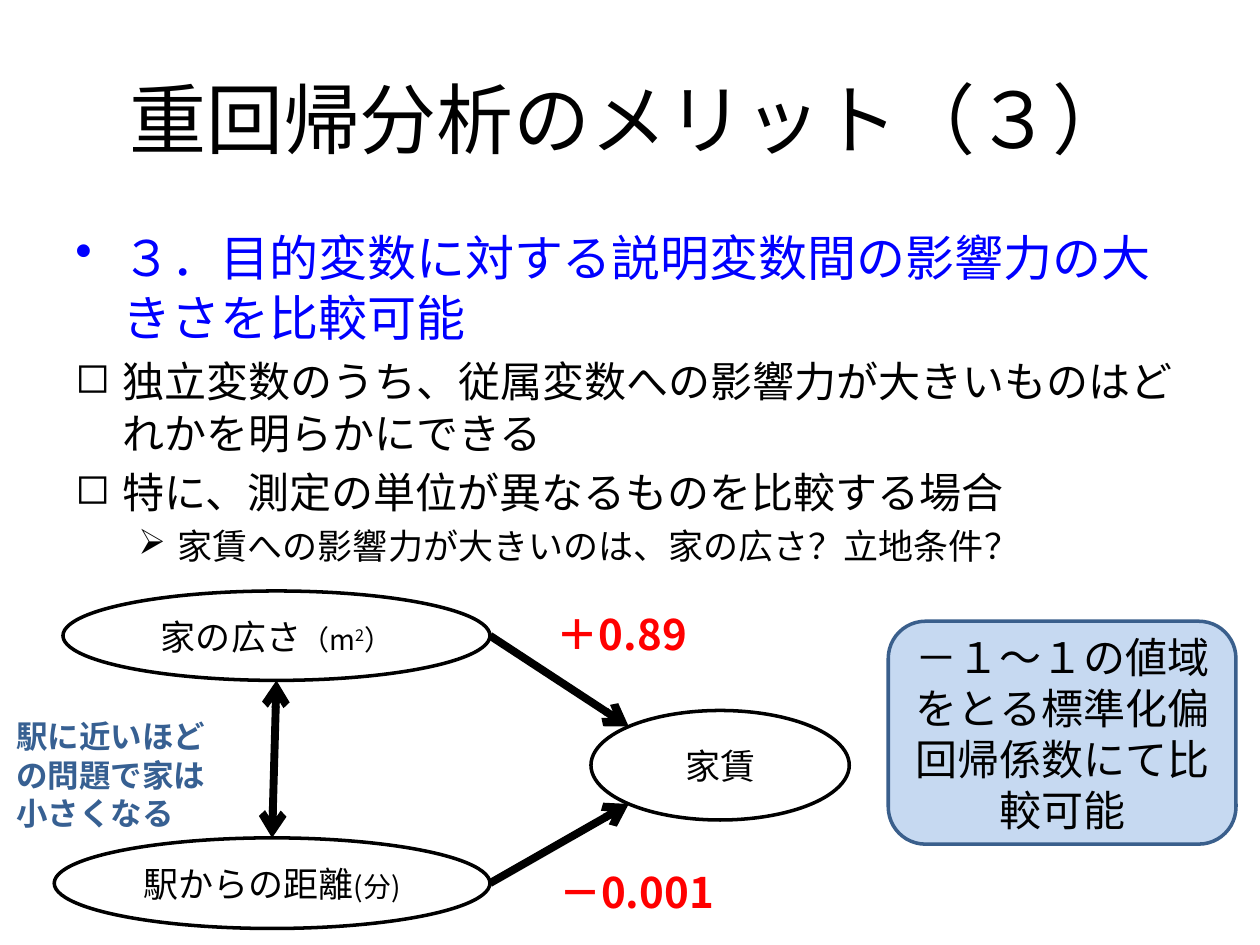
from math import sqrt

from lxml.etree import SubElement
from pptx import Presentation
from pptx.dml.color import RGBColor
from pptx.enum.shapes import MSO_CONNECTOR as Link, MSO_SHAPE as Shape
from pptx.enum.text import MSO_ANCHOR as Anchor, PP_ALIGN as Align
from pptx.oxml.ns import qn
from pptx.util import Pt


class Theme:
    font = "Noto Sans CJK JP"
    black, white, red = "000000", "FFFFFF", "FF0000"
    blue, label, panel, panel_line = "0000FF", "376092", "C6D9F1", "3A5F8C"
    title, lead, body, node, note, unit = 44, 28, 24, 20, 18, 16
    leading = 1.22
    outline, arrow = 2, 4.5


# Content: places are left, top, width, height in points
TITLE = "重回帰分析のメリット（３）"
BULLETS = [  # text, bullet, size, colour, indent, hanging, level
    ("３．目的変数に対する説明変数間の影響力の大きさを比較可能", "•", Theme.lead, Theme.blue, 27, 27, 0),
    ("独立変数のうち、従属変数への影響力が大きいものはどれかを明らかにできる", "◻", Theme.body, Theme.black, 27, 27, 0),
    ("特に、測定の単位が異なるものを比較する場合", "◻", Theme.body, Theme.black, 27, 27, 0),
    ("家賃への影響力が大きいのは、家の広さ？立地条件？", "➢", Theme.node, Theme.black, 58.5, 22.5, 1),
]
LABELS = [  # lines, place, size, colour, left inset, wrap
    (["－0.001"], (312.5, 491, 113, 36), Theme.body, Theme.red, 7.2, False),
    (["＋0.89"], (293, 343.5, 118, 36), Theme.body, Theme.red, 25.2, True),
    (["駅に近いほど", "の問題で家は", "小さくなる"], (2.2, 406, 162.7, 72.7), Theme.note, Theme.label, 7.2, True),
]
CALLOUT = "－１～１の値域をとる標準化偏回帰係数にて比較可能"
NODES = {  # name: place, spans of (text, size, superscript)
    "area": ((36, 337.7, 244, 51.1), [("家の広さ", Theme.node, False), ("（m", Theme.unit, False),
                                      ("2", Theme.unit, True), ("）", Theme.unit, False)]),
    "distance": ((31, 478.8, 249, 51.8), [("駅からの距離", Theme.node, False), ("(分)", Theme.unit, False)]),
    "rent": ((337.7, 406, 147.6, 62.6), [("家賃", Theme.node, False)]),
}
DIAGONAL = sqrt(0.5)
ARROWS = [  # from node, direction, to node, direction, arrowheads
    ("distance", (0, -1), "area", (0, 1), ("headEnd", "tailEnd")),
    ("area", (1, 0), "rent", (-DIAGONAL, -DIAGONAL), ("tailEnd",)),
    ("distance", (1, 0), "rent", (-DIAGONAL, DIAGONAL), ("tailEnd",)),
]


def colour(code):
    return RGBColor.from_string(code)


def style(font, size, code, bold=False):
    font.name, font.size, font.bold = Theme.font, Pt(size), bold
    font.color.rgb = colour(code)


def set_paragraph(para, size, code, align=Align.LEFT, bold=False):
    """Apply one style and an even line pitch to a paragraph and its runs."""
    style(para.font, size, code, bold)
    para.alignment = align
    para.line_spacing = Pt(round(size * Theme.leading, 1))
    for span in para.runs:
        properties = span._r.get_or_add_rPr()
        SubElement(properties, qn("a:ea"), typeface=Theme.font)


def add_bullet(para, char, indent, hanging):
    properties = para._p.get_or_add_pPr()
    properties.set("marL", str(Pt(indent)))
    properties.set("indent", str(-Pt(hanging)))
    bullet = SubElement(properties, qn("a:buChar"), char=char)
    default = properties.find(qn("a:defRPr"))
    if default is not None:
        default.addprevious(bullet)


def add_text(slide, place, lines, anchor=Anchor.TOP, wrap=True):
    box = slide.shapes.add_textbox(*map(Pt, place))
    frame = box.text_frame
    frame.word_wrap, frame.vertical_anchor = wrap, anchor
    frame.text = "\n".join(lines)
    return box


def add_outlined(slide, kind, place, line, fill=None):
    shape = slide.shapes.add_shape(kind, *map(Pt, place))
    shape.shadow.inherit = False
    if fill:
        shape.fill.solid()
        shape.fill.fore_color.rgb = colour(fill)
    else:
        shape.fill.background()
    shape.line.color.rgb = colour(line)
    shape.line.width = Pt(Theme.outline)
    shape.text_frame.word_wrap = True
    shape.text_frame.vertical_anchor = Anchor.MIDDLE
    return shape


def rim(name, direction):
    """Point on a node's ellipse in the given unit direction."""
    left, top, width, height = NODES[name][0]
    return (Pt(left + width / 2 * (1 + direction[0])),
            Pt(top + height / 2 * (1 + direction[1])))


def build():
    deck = Presentation()
    deck.slide_width, deck.slide_height = Pt(720), Pt(540)
    slide = deck.slides.add_slide(deck.slide_layouts[6])

    # Title
    box = add_text(slide, (36, 21.6, 648, 90), [TITLE], Anchor.MIDDLE)
    set_paragraph(box.text_frame.paragraphs[0], Theme.title, Theme.black, Align.CENTER)

    # Bullets
    box = add_text(slide, (36, 126, 648, 356.4), [row[0] for row in BULLETS])
    for para, row in zip(box.text_frame.paragraphs, BULLETS):
        _, char, size, code, indent, hanging, level = row
        set_paragraph(para, size, code)
        para.level = level
        para.space_before = Pt(size * 0.2)
        add_bullet(para, char, indent, hanging)

    # Coefficients and the side remark
    for lines, place, size, code, inset, wrap in LABELS:
        box = add_text(slide, place, lines, wrap=wrap)
        box.fill.solid()
        box.fill.fore_color.rgb = colour(Theme.white)
        box.text_frame.margin_left = Pt(inset)
        for para in box.text_frame.paragraphs:
            set_paragraph(para, size, code, bold=True)

    # Callout
    panel = add_outlined(slide, Shape.ROUNDED_RECTANGLE, (507.6, 355, 198.7, 127.4),
                         Theme.panel_line, Theme.panel)
    panel.text_frame.text = CALLOUT
    set_paragraph(panel.text_frame.paragraphs[0], Theme.body, Theme.black, Align.CENTER)

    # Variables
    for place, spans in NODES.values():
        node = add_outlined(slide, Shape.OVAL, place, Theme.black)
        para = node.text_frame.paragraphs[0]
        for text, size, raised in spans:
            span = para.add_run()
            span.text = text
            style(span.font, size, Theme.black)
            if raised:
                span._r.get_or_add_rPr().set("baseline", "30000")
        set_paragraph(para, Theme.node, Theme.black, Align.CENTER)

    # Arrows between variables
    for start, start_way, end, end_way, heads in ARROWS:
        arrow = slide.shapes.add_connector(Link.STRAIGHT, *rim(start, start_way), *rim(end, end_way))
        arrow.line.color.rgb = colour(Theme.black)
        arrow.line.width = Pt(Theme.arrow)
        for head in heads:
            SubElement(arrow.line._get_or_add_ln(), qn(f"a:{head}"), type="arrow")
        SubElement(arrow._element.spPr, qn("a:effectLst"))

    deck.save("out.pptx")


if __name__ == "__main__":
    build()
